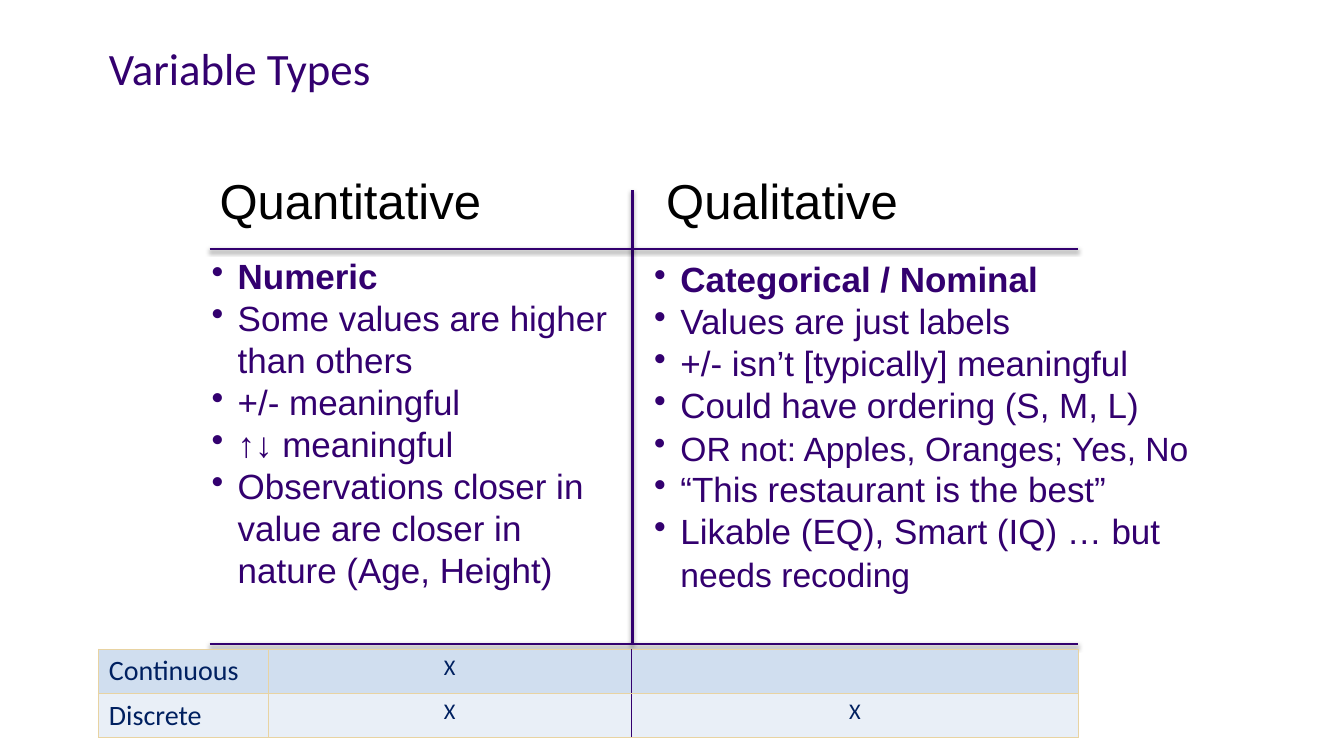
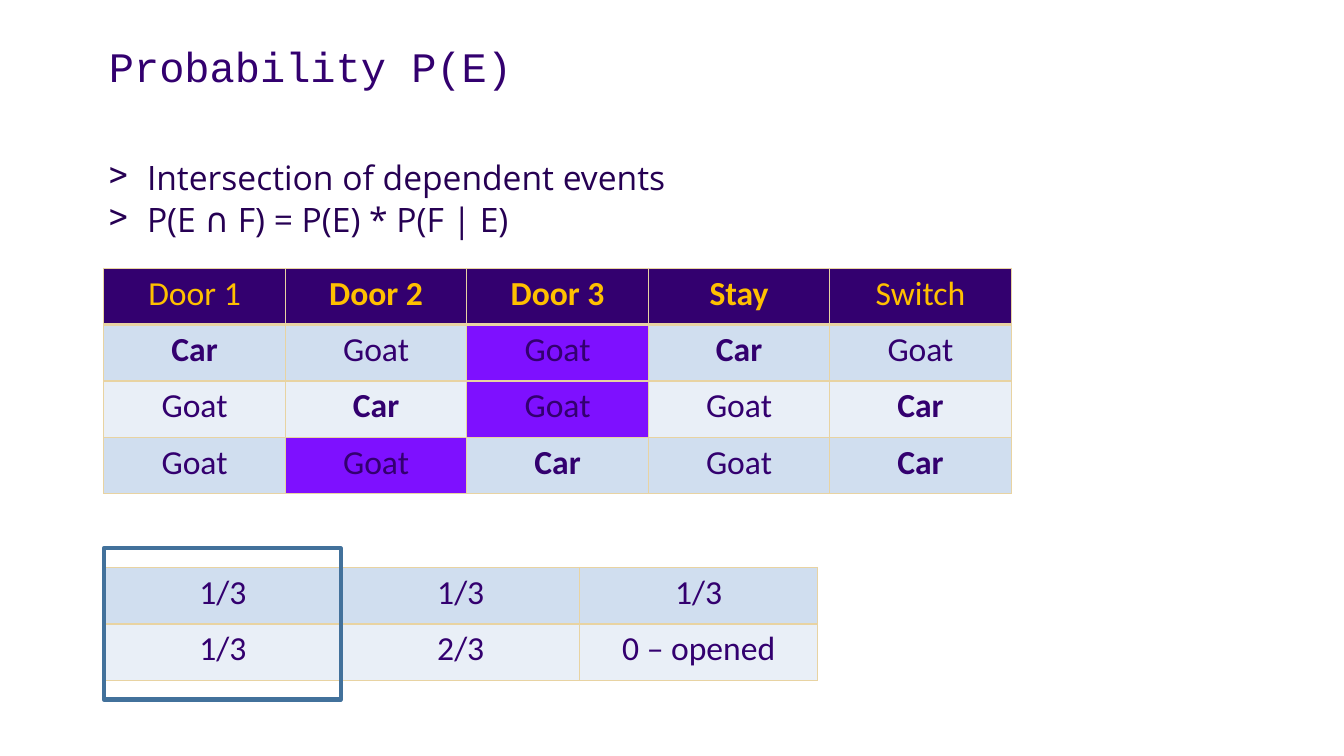
import pptx
import pptx.dml.color
import pptx.enum.shapes
import pptx.enum.text
import pptx.oxml
import pptx.oxml.ns
import pptx.util
from lxml import etree

RGB = pptx.dml.color.RGBColor
Pt = pptx.util.Pt
ALIGN = pptx.enum.text.PP_ALIGN
TOP = pptx.enum.text.MSO_ANCHOR.TOP

PX = 9144  # EMU in one px: 100 px to the inch
BLACK = RGB(0x00, 0x00, 0x00)
PURPLE = RGB(0x33, 0x00, 0x6F)
DARK_PURPLE = RGB(0x26, 0x00, 0x53)
VIOLET = RGB(0x7E, 0x10, 0xFF)
NAVY = RGB(0x00, 0x20, 0x60)
AMBER = RGB(0xFF, 0xC0, 0x00)
SAND = RGB(0xE8, 0xD3, 0xA2)
STEEL = RGB(0x42, 0x71, 0x9B)
BANDS = (RGB(0xD0, 0xDE, 0xEF), RGB(0xE9, 0xEF, 0xF7))

# Content: slide 1. Each bullet is a list of (text, size, bold) runs
HEADINGS = [("Quantitative", (208, 164, 293, 69)),
            ("Qualitative", (651, 164, 277, 69))]
QUANTITATIVE = [
    [("Numeric", 25, True)],
    [("Some values are higher than others", 25, False)],
    [("+/- meaningful", 25, False)],
    [("↑↓ meaningful", 25, False)],
    [("Observations closer in value are closer in nature (Age, Height)", 25, False)],
]
QUALITATIVE = [
    [("Categorical / Nominal", 25, True)],
    [("Values are just labels", 25, False)],
    [("+/- isn’t [typically] meaningful", 25, False)],
    [("Could have ordering (S, M, L)", 25, False)],
    [("OR not: Apples, Oranges; Yes, No", 24, False)],
    [("“This restaurant is the best”", 25, False)],
    [("Likable (EQ), Smart (IQ) … but ", 25, False), ("needs recoding", 24, False)],
]
RULES = [(627, 189, 627, 639), (208, 247, 1069, 247), (208, 639, 1069, 639)]
SCALES = [("Continuous", "X", ""), ("Discrete", "X", "X")]

# Content: slide 2
EVENTS = [[("Intersection of dependent events", 24, False)],
          [("P(E ∩ F) = P(E) * P(F | E)", 24, False)]]
DOORS = [("Door 1", "Door 2", "Door 3", "Stay", "Switch"),
         ("Car", "Goat", "Goat", "Car", "Goat"),
         ("Goat", "Car", "Goat", "Goat", "Car"),
         ("Goat", "Goat", "Car", "Goat", "Car")]
BOLD_WORDS = {"Door 2", "Door 3", "Stay", "Car"}
OPENED = {(1, 2), (2, 2), (3, 1)}
CHANCES = [("1/3", "1/3", "1/3"), ("1/3", "2/3", "0 – opened")]


def emu(*lengths):
    return [length * PX for length in lengths]


def style(run, font, size, color, bold=False):
    run.font.name = font
    run.font.size = Pt(size)
    run.font.bold = bold
    run.font.color.rgb = color


def add_titled_slide(deck, text, font, size):
    slide = deck.slides.add_slide(deck.slide_layouts[5])
    title = slide.shapes.title
    title.left, title.top, title.width, title.height = emu(98, 41, 1193, 108)
    frame = title.text_frame
    frame.text = text
    frame.vertical_anchor = TOP
    paragraph = frame.paragraphs[0]
    paragraph.alignment = ALIGN.LEFT
    paragraph.line_spacing = 0.9
    style(paragraph.runs[0], font, size, PURPLE)
    return slide


def add_text(slide, box, paragraphs, font, color, bullet=None, indent=0,
             line_spacing=None, space_before=0):
    frame = slide.shapes.add_textbox(*emu(*box)).text_frame
    frame.word_wrap = True
    for index, runs in enumerate(paragraphs):
        paragraph = frame.add_paragraph() if index else frame.paragraphs[0]
        paragraph.line_spacing = line_spacing
        paragraph.space_before = Pt(space_before)
        for text, size, bold in runs:
            run = paragraph.add_run()
            run.text = text
            style(run, font, size, color, bold)
        if bullet:
            props = paragraph._p.get_or_add_pPr()
            props.set("marL", str(indent * PX))
            props.set("indent", str(-indent * PX))
            mark = etree.SubElement(props, pptx.oxml.ns.qn("a:buChar"))
            mark.set("char", bullet)


def add_rule(slide, ends):
    rule = slide.shapes.add_connector(
        pptx.enum.shapes.MSO_CONNECTOR.STRAIGHT, *emu(*ends))
    rule.line.color.rgb = PURPLE
    rule.line.width = Pt(2)
    # Soft shadow just below the line
    rule._element.spPr.append(pptx.oxml.parse_xml(
        f'<a:effectLst {pptx.oxml.ns.nsdecls("a")}>'
        '<a:outerShdw blurRad="40000" dist="20000" dir="5400000" rotWithShape="0">'
        '<a:srgbClr val="000000"><a:alpha val="37000"/></a:srgbClr>'
        '</a:outerShdw></a:effectLst>'))


def set_borders(cell, special):
    props = cell._tc.get_or_add_tcPr()
    for side in "LRTB":
        color, width = special.get(side, (SAND, 1))
        props.append(pptx.oxml.parse_xml(
            f'<a:ln{side} {pptx.oxml.ns.nsdecls("a")} w="{Pt(width)}">'
            f'<a:solidFill><a:srgbClr val="{color}"/></a:solidFill></a:ln{side}>'))


def add_grid(slide, left, top, col_widths, row_height, rows, look):
    """look(row, col, text) gives a dict: size, color, fill, bold, align, borders."""
    table = slide.shapes.add_table(
        len(rows), len(col_widths),
        *emu(left, top, sum(col_widths), row_height * len(rows))).table
    table.first_row = table.horz_banding = False
    for column, width in zip(table.columns, col_widths):
        column.width = width * PX
    for r, texts in enumerate(rows):
        table.rows[r].height = row_height * PX
        for c, text in enumerate(texts):
            cell, spec = table.cell(r, c), look(r, c, text)
            set_borders(cell, spec.get("borders", {}))
            cell.fill.solid()
            cell.fill.fore_color.rgb = spec["fill"]
            paragraph = cell.text_frame.paragraphs[0]
            paragraph.alignment = spec.get("align", ALIGN.CENTER)
            if text:
                paragraph.text = text
                style(paragraph.runs[0], "Calibri", spec["size"], spec["color"],
                      spec.get("bold", False))


def scale_look(row, col, text):
    divider = {1: {"R": (PURPLE, 1)}, 2: {"L": (PURPLE, 1)}}
    return {"size": 16 if col else 20, "color": NAVY, "fill": BANDS[row],
            "align": ALIGN.CENTER if col else ALIGN.LEFT,
            "borders": divider.get(col, {})}


def door_look(row, col, text):
    bold = text in BOLD_WORDS
    if row == 0:
        return {"size": 24, "color": AMBER, "fill": PURPLE, "bold": bold,
                "borders": {"B": (SAND, 3)}}
    fill = VIOLET if (row, col) in OPENED else BANDS[(row - 1) % 2]
    return {"size": 24, "color": PURPLE, "fill": fill, "bold": bold}


def chance_look(row, col, text):
    return {"size": 24, "color": PURPLE, "fill": BANDS[row]}


def build_variable_types(deck):
    slide = add_titled_slide(deck, "Variable Types", "Calibri", 32)
    for heading, box in HEADINGS:
        add_text(slide, box, [[(heading, 35, False)]], "Arial", BLACK)
    for box, bullets in (((200, 248, 417, 389), QUANTITATIVE),
                         ((639, 251, 559, 385), QUALITATIVE)):
        add_text(slide, box, bullets, "Arial", PURPLE, "•", 26, Pt(30))
    for ends in RULES:
        add_rule(slide, ends)
    add_grid(slide, 98, 644, (168, 360, 444), 44, SCALES, scale_look)


def build_probability(deck):
    slide = add_titled_slide(deck, "Probability P(E)", "Courier New", 30)
    add_text(slide, (98, 155, 1195, 100), EVENTS, "Open Sans", DARK_PURPLE,
             ">", 38, 0.9, 4)
    add_grid(slide, 103, 266, [180] * 5, 56, DOORS, door_look)
    add_grid(slide, 103, 563, [236] * 3, 56, CHANCES, chance_look)

    # Frame around the first door's chances
    frame = slide.shapes.add_shape(
        pptx.enum.shapes.MSO_SHAPE.RECTANGLE, *emu(103, 544, 235, 150))
    frame.shadow.inherit = False
    frame.fill.background()
    frame.line.color.rgb = STEEL
    frame.line.width = Pt(3)


def main():
    deck = pptx.Presentation()
    deck.slide_width, deck.slide_height = emu(1333, 750)
    build_variable_types(deck)
    build_probability(deck)
    deck.save("out.pptx")


if __name__ == "__main__":
    main()
